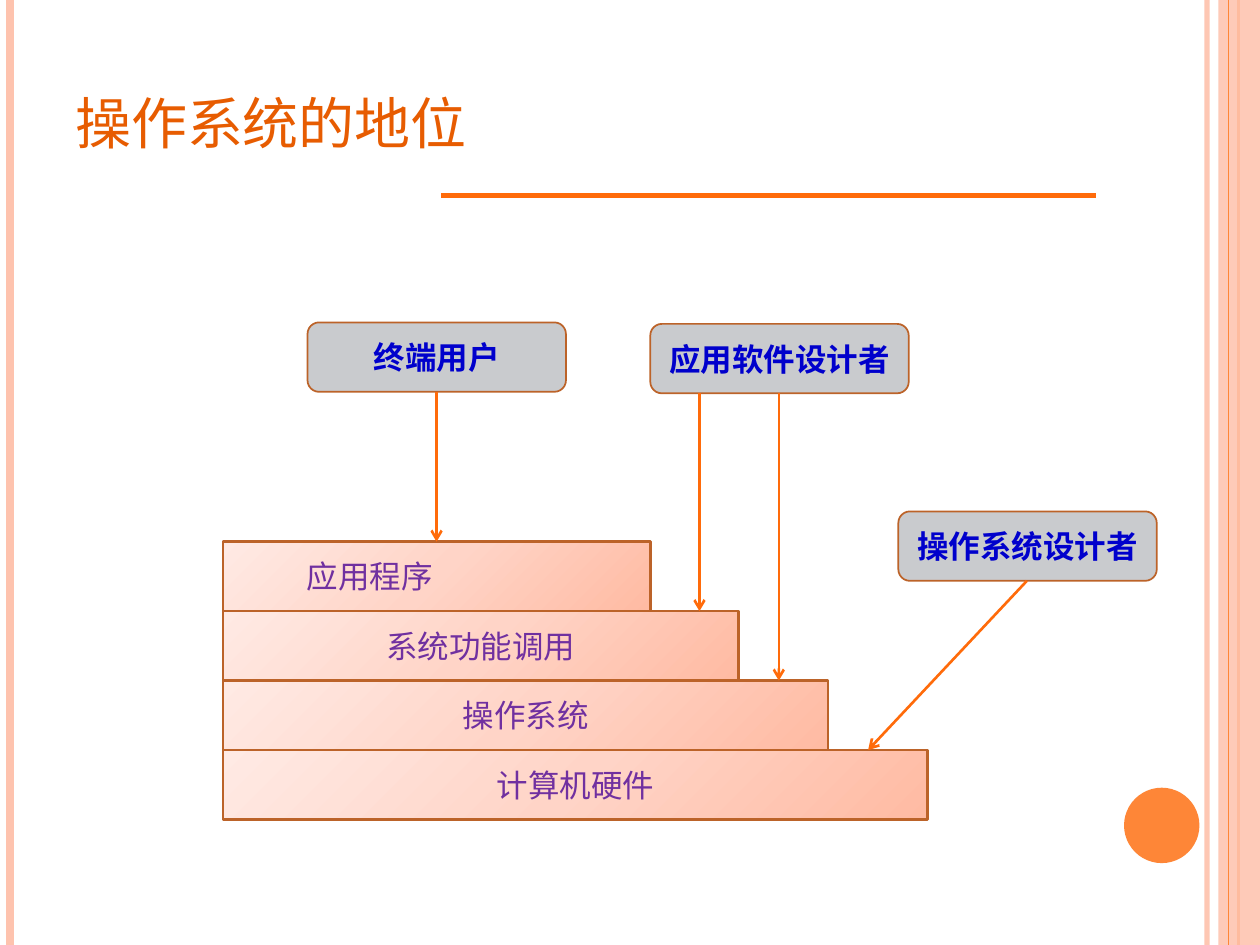
from lxml import etree
from pptx import Presentation
from pptx import util as u
from pptx.dml.color import RGBColor
from pptx.enum import shapes, text
from pptx.oxml.ns import qn

rgb = RGBColor.from_string
FONT = "Noto Sans CJK SC"
ORANGE, PEACH, ACCENT, BROWN = "FE8637", "FEC3AE", "FF6B0A", "BC6329"
WIDTH, HEIGHT = 25.4, 19.05

deck = Presentation()
deck.slide_width, deck.slide_height = u.Cm(WIDTH), u.Cm(HEIGHT)
slide = deck.slides.add_slide(deck.slide_layouts[6])


def draw_line(start, end, color, points, arrow=False):
    stroke = slide.shapes.add_connector(
        shapes.MSO_CONNECTOR.STRAIGHT, *[u.Cm(v) for v in (*start, *end)])
    stroke.line.color.rgb = rgb(color)
    stroke.line.width = u.Pt(points)
    properties = stroke._element.spPr
    if arrow:
        etree.SubElement(properties.find(qn("a:ln")), qn("a:tailEnd"), type="arrow")
    etree.SubElement(properties, qn("a:effectLst"))
    return stroke


def draw_box(kind, place, fill, outline=None, points=1, label="", font={}):
    box = slide.shapes.add_shape(kind, *[u.Cm(v) for v in place])
    box.shadow.inherit = False
    if fill:
        box.fill.solid()
        box.fill.fore_color.rgb = rgb(fill)
    else:
        box.fill.background()
    if outline:
        box.line.color.rgb = rgb(outline)
        box.line.width = u.Pt(points)
    else:
        box.line.fill.background()
    if label:
        box.text_frame.vertical_anchor = text.MSO_ANCHOR.MIDDLE
        paragraph = box.text_frame.paragraphs[0]
        paragraph.alignment = text.PP_ALIGN.CENTER
        run = paragraph.add_run()
        run.text = label
        for name, value in {"name": FONT, **font}.items():
            if name == "color":
                run.font.color.rgb = rgb(value)
            else:
                setattr(run.font, name, value)
        etree.SubElement(run.font._element, qn("a:ea"), typeface=FONT)
    return box


RECT = shapes.MSO_SHAPE.RECTANGLE
ROUNDED = shapes.MSO_SHAPE.ROUNDED_RECTANGLE

edge = draw_line((24.33, 0), (24.33, HEIGHT), PEACH, 3)
draw_line((0.2, 0), (0.2, HEIGHT), PEACH, 4.5)
draw_line((24.97, 0), (24.97, HEIGHT), ORANGE, 1.5)
band = draw_box(RECT, (24.56, 0, 0.84, HEIGHT), PEACH)
for part, opacity in ((edge, 93), (band, 87)):
    tint = next(part._element.spPr.iter(qn("a:srgbClr")))
    etree.SubElement(tint, qn("a:alpha"), val=str(opacity * 1000))
draw_line((24.77, 0), (24.77, HEIGHT), ORANGE, 0.75)
draw_box(shapes.MSO_SHAPE.OVAL, (22.66, 15.88, 1.52, 1.52), ORANGE)
draw_line((8.89, 3.94), (22.1, 3.94), ACCENT, 3)

title = draw_box(RECT, (1.27, 0.76, 20.75, 2.57), None, label="操作系统的地位",
                 font={"size": u.Pt(40), "color": "E75C01"})
title.text_frame.vertical_anchor = text.MSO_ANCHOR.BOTTOM
heading = title.text_frame.paragraphs[0]
heading.alignment = text.PP_ALIGN.LEFT
heading.runs[0].font._element.set("cap", "small")

ROW, STAIR_LEFT, STAIR_TOP = 1.4, 4.5, 10.92
layers = [("应用程序", 8.61), ("系统功能调用", 10.39), ("操作系统", 12.19), ("计算机硬件", 14.2)]
layer_tops = [STAIR_TOP + ROW * i for i in range(len(layers))]
for (label, width), top in reversed(list(zip(layers, layer_tops))):
    layer = draw_box(RECT, (STAIR_LEFT, top, width, ROW), "FFD4C7", BROWN, 1.5, label,
                     {"size": u.Pt(18), "color": "7030A0"})
    properties = layer._element.spPr
    glow = etree.Element(qn("a:gradFill"), rotWithShape="1")
    stops = etree.SubElement(glow, qn("a:gsLst"))
    for position, color in ((0, "FFBBA3"), (50, "FFD4C7"), (100, "FFEAE4")):
        stop = etree.SubElement(stops, qn("a:gs"), pos=str(position * 1000))
        etree.SubElement(stop, qn("a:srgbClr"), val=color)
    focus = etree.SubElement(glow, qn("a:path"), path="circle")
    etree.SubElement(focus, qn("a:fillToRect"), l="100000", t="100000")
    properties.replace(properties.find(qn("a:solidFill")), glow)

layer.text_frame.margin_left = u.Cm(1.68)
layer.text_frame.paragraphs[0].alignment = text.PP_ALIGN.LEFT

USER_WIDTH = 5.21
users = [
    ("应用软件设计者", 13.11, 6.53, [(14.1, 14.1, 1), (15.7, 15.7, 2)]),
    ("操作系统设计者", 18.11, 10.31, [(20.7, 17.5, 3)]),
    ("终端用户", 6.2, 6.5, [(8.8, 8.8, 0)]),
]
for label, left, top, arrows in users:
    draw_box(ROUNDED, (left, top, USER_WIDTH, ROW), "C9CBCE", BROWN, 1, label,
             {"size": u.Pt(18), "color": "0000CC", "bold": True})
    for start_x, end_x, target in arrows:
        draw_line((start_x, top + ROW), (end_x, layer_tops[target]), ACCENT, 1.5, arrow=True)

deck.save("out.pptx")
